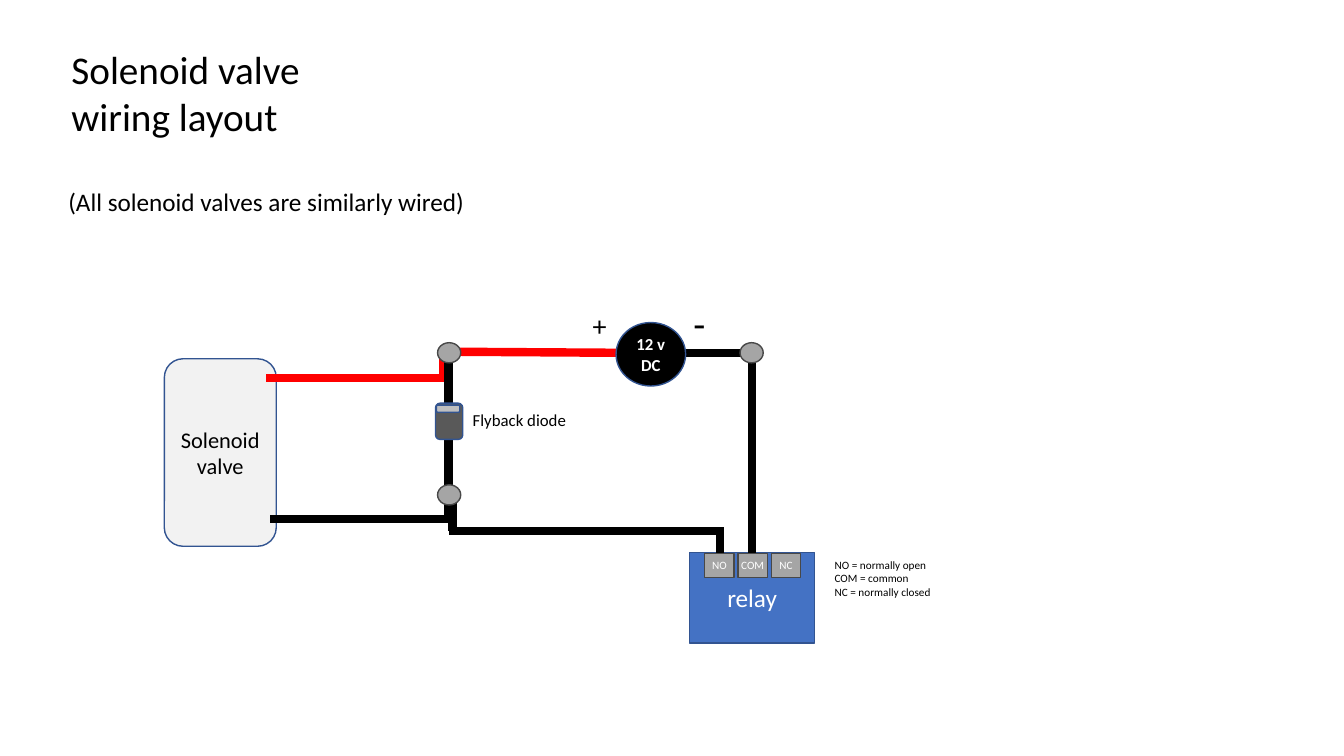
from typing import NamedTuple

from lxml import etree
from pptx import Presentation
from pptx.dml.color import RGBColor
from pptx.enum.shapes import MSO_CONNECTOR, MSO_SHAPE
from pptx.enum.text import MSO_ANCHOR, MSO_AUTO_SIZE, PP_ALIGN
from pptx.oxml.ns import qn
from pptx.util import Inches, Pt

STRAIGHT = MSO_CONNECTOR.STRAIGHT
RECT, ROUND, OVAL = MSO_SHAPE.RECTANGLE, MSO_SHAPE.ROUNDED_RECTANGLE, MSO_SHAPE.OVAL
LEFT, CENTER = PP_ALIGN.LEFT, PP_ALIGN.CENTER
TOP, MIDDLE = MSO_ANCHOR.TOP, MSO_ANCHOR.MIDDLE
GROW = MSO_AUTO_SIZE.SHAPE_TO_FIT_TEXT

FONT = "Calibri"
BLACK, WHITE, RED = "000000", "FFFFFF", "FF0000"
NAVY, BLUE, GREY, DARK = "325491", "4472C4", "A5A5A5", "484848"
CELL = 0.1  # side of one grid cell in inches

# Terminal row on the relay, in grid cells
TERMINAL_X, TERMINAL_Y, TERMINAL_STEP = 69.9, 54.9, 3.3
TERMINAL_W, TERMINAL_H, TERMINAL_LABEL_W = 2.9, 2.4, 5.9


class Wire(NamedTuple):
    x1: float
    y1: float
    x2: float
    y2: float
    color: str = BLACK


class Part(NamedTuple):
    kind: int
    col: float
    row: float
    cols: float
    rows: float
    fill: str
    line: str = NAVY
    text: str = ""
    size: int = 12
    color: str = WHITE
    bold: bool = False


class Label(NamedTuple):
    text: str
    col: float
    row: float
    cols: float
    rows: float
    size: int
    color: str = BLACK
    align: int = LEFT
    wrap: bool = True


# Bodies lie behind the wires, components in front
BODIES = [
    Part(ROUND, 16.3, 35.6, 11.1, 18.6, "F2F2F2", text="Solenoid valve", size=16, color=BLACK),
    Part(RECT, 68.4, 54.8, 12.4, 9, BLUE, text="relay", size=18),
]
WIRES = [
    Wire(45.4, 34.9, 61.5, 35, RED),
    Wire(66.6, 35, 75.1, 35),
    Wire(26.4, 37.5, 44.3, 37.5, RED),
    Wire(26.8, 51.5, 44.8, 51.5),
    Wire(44, 37.5, 44, 34.7, RED),
    Wire(44.5, 48.5, 44.5, 34.7),
    Wire(44.5, 51.3, 44.5, 49.2),
    Wire(44.9, 52.7, 44.9, 49.6),
    Wire(44.5, 52.7, 71.7, 52.7),
    Wire(71.4, 55.3, 71.4, 52.3),
    Wire(74.6, 55.3, 74.6, 34.6),
]
JUNCTIONS = [(43.4, 34), (43.4, 48.1), (73.4, 34)]
COMPONENTS = [
    Part(OVAL, 61.1, 32, 6.9, 6.3, BLACK, text="12 v DC", bold=True),
    Part(ROUND, 43.2, 40, 2.7, 3.6, "595959"),
    Part(ROUND, 43.3, 40.2, 2.3, 0.7, "BFBFBF"),
    *(Part(OVAL, x, y, 2.3, 2, GREY, DARK) for x, y in JUNCTIONS),
]
TERMINALS = ["NO", "COM", "NC"]
LABELS = [
    Label("Solenoid valve\nwiring layout", 6.1, 4, 48.3, 10.4, 28),
    Label("(All solenoid valves are similarly wired)", 5.8, 18, 41.7, 4, 18, wrap=False),
    Label("+", 57.8, 30.1, 3.6, 4.4, 20),
    Label("-", 67.8, 29.2, 3.6, 5.7, 28),
    Label("Flyback diode", 45.9, 40.2, 19.7, 3, 12),
    Label("NO = normally open\nCOM = common\nNC = normally closed", 81.8, 54.9, 14.4, 5, 8),
]


def rgb(value: str) -> RGBColor:
    return RGBColor.from_string(value)


def grid(*cells: float) -> list[int]:
    return [Inches(n * CELL) for n in cells]


def write(sp, text: str, *, size: int, color: str = BLACK, bold: bool = False,
          align: int = LEFT, anchor: int = TOP, wrap: bool = True) -> None:
    tf = sp.text_frame
    tf.word_wrap = wrap
    tf.vertical_anchor = anchor
    for i, line in enumerate(text.split("\n")):
        p = tf.paragraphs[0] if i == 0 else tf.add_paragraph()
        p.alignment = align
        r = p.add_run()
        r.text = line
        r.font.name, r.font.size, r.font.bold = FONT, Pt(size), bold
        r.font.color.rgb = rgb(color)


def draw_part(s, part: Part) -> None:
    sp = s.shapes.add_shape(part.kind, *grid(part.col, part.row, part.cols, part.rows))
    sp.shadow.inherit = False
    sp.fill.solid()
    sp.fill.fore_color.rgb = rgb(part.fill)
    sp.line.color.rgb = rgb(part.line)
    sp.line.width = Pt(1)
    if part.text:
        write(sp, part.text, size=part.size, color=part.color, bold=part.bold,
              align=CENTER, anchor=MIDDLE)


def draw_wire(s, wire: Wire) -> None:
    cx = s.shapes.add_connector(STRAIGHT, *grid(wire.x1, wire.y1, wire.x2, wire.y2))
    cx.line.color.rgb = rgb(wire.color)
    cx.line.width = Pt(6)
    etree.SubElement(cx._element.spPr, qn("a:effectLst"))


def draw_label(s, label: Label) -> None:
    sp = s.shapes.add_textbox(*grid(label.col, label.row, label.cols, label.rows))
    write(sp, label.text, size=label.size, color=label.color,
          align=label.align, wrap=label.wrap)
    sp.text_frame.auto_size = GROW


def draw_terminal(s, index: int, name: str) -> None:
    x = TERMINAL_X + index * TERMINAL_STEP
    draw_part(s, Part(RECT, x, TERMINAL_Y, TERMINAL_W, TERMINAL_H, GREY, DARK))
    label_x = x - (TERMINAL_LABEL_W - TERMINAL_W) / 2
    draw_label(s, Label(name, label_x, TERMINAL_Y, TERMINAL_LABEL_W, TERMINAL_H,
                        8, WHITE, CENTER))


def main() -> None:
    prs = Presentation()
    prs.slide_width, prs.slide_height = Inches(13.33), Inches(7.5)
    s = prs.slides.add_slide(prs.slide_layouts[6])

    # Circuit, from back to front
    for body in BODIES:
        draw_part(s, body)
    for wire in WIRES:
        draw_wire(s, wire)
    for component in COMPONENTS:
        draw_part(s, component)
    for i, name in enumerate(TERMINALS):
        draw_terminal(s, i, name)

    # Heading and captions
    for label in LABELS:
        draw_label(s, label)

    prs.save("out.pptx")


if __name__ == "__main__":
    main()
